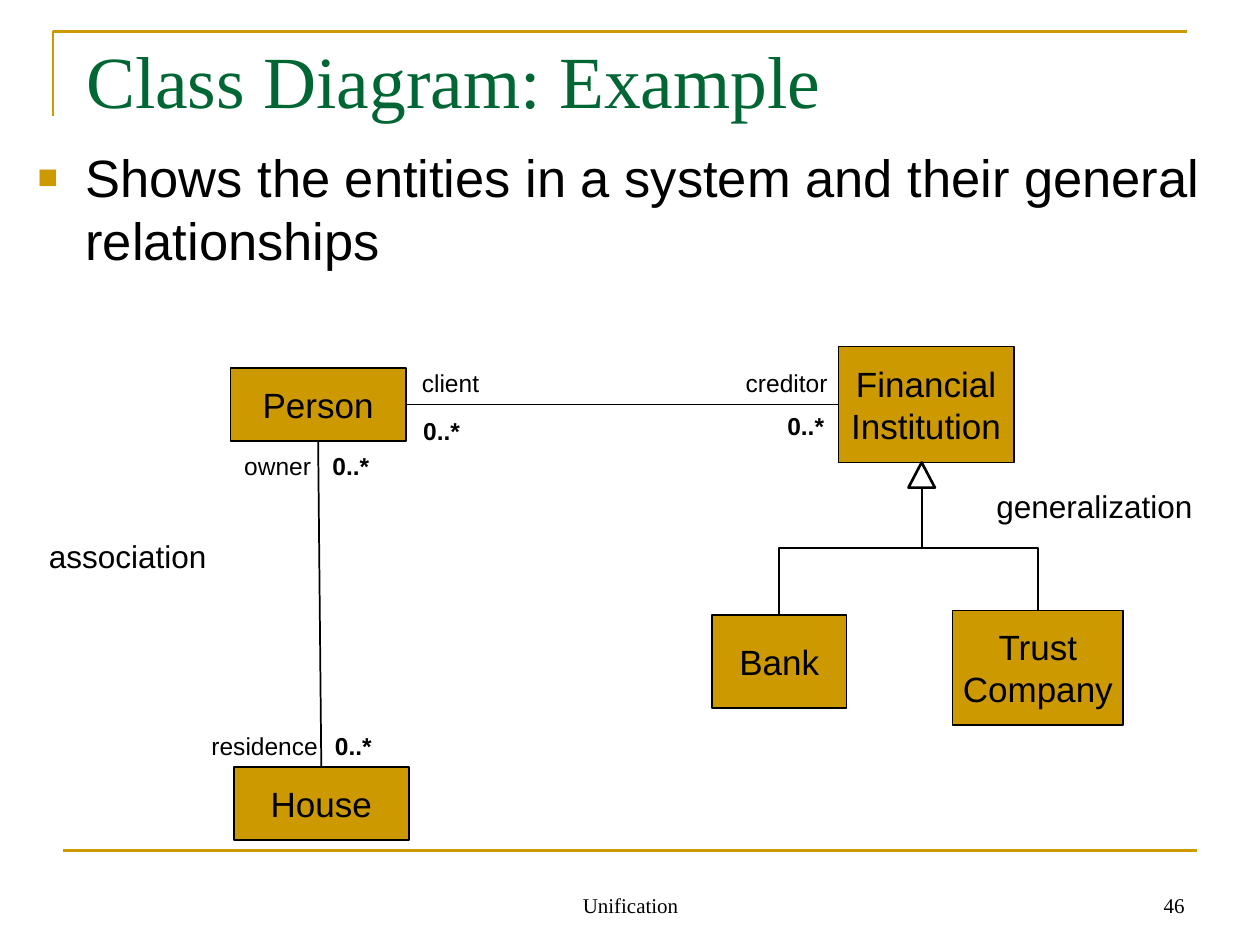
from dataclasses import dataclass

from lxml import etree
from pptx import Presentation
from pptx.dml.color import RGBColor
from pptx.enum.shapes import MSO_CONNECTOR, MSO_SHAPE
from pptx.enum.text import MSO_ANCHOR, PP_ALIGN
from pptx.oxml.ns import qn
from pptx.util import Emu, Inches, Pt

GOLD = RGBColor(0xCC, 0x99, 0x00)
GREEN = RGBColor(0x00, 0x66, 0x33)
BLACK = RGBColor(0, 0, 0)
SANS, SERIF = "Arial", "Times New Roman"
TOP, MIDDLE, BOTTOM = MSO_ANCHOR.TOP, MSO_ANCHOR.MIDDLE, MSO_ANCHOR.BOTTOM
LEFT, CENTER, RIGHT = PP_ALIGN.LEFT, PP_ALIGN.CENTER, PP_ALIGN.RIGHT
STRAIGHT, ELBOW = MSO_CONNECTOR.STRAIGHT, MSO_CONNECTOR.ELBOW
RECTANGLE, TRIANGLE = MSO_SHAPE.RECTANGLE, MSO_SHAPE.ISOSCELES_TRIANGLE

# The slide is a grid of 100 columns by 75 rows of square cells.
COLUMNS, ROWS = 100, 75
CELL = Inches(0.1)


@dataclass(frozen=True)
class Area:
    column: float
    row: float
    columns: float
    rows: float

    @property
    def center(self) -> float:
        return self.column + self.columns / 2

    @property
    def bottom(self) -> float:
        return self.row + self.rows


@dataclass(frozen=True)
class TextStyle:
    size: float
    font: str = SANS
    color: RGBColor = BLACK
    bold: bool = False
    align: PP_ALIGN = LEFT
    anchor: MSO_ANCHOR = TOP
    wrap: bool = True


@dataclass(frozen=True)
class TextItem:
    text: str
    area: Area
    style: TextStyle


CLASS_NAME = TextStyle(20, align=CENTER, anchor=MIDDLE, wrap=False)
RELATION = TextStyle(18)
ROLE = TextStyle(14, wrap=False)
COUNT = TextStyle(14, bold=True, wrap=False)

PERSON = TextItem("Person", Area(18.3, 29.2, 13.9, 5.8), CLASS_NAME)
HOUSE = TextItem("House", Area(18.55, 60.85, 13.9, 5.8), CLASS_NAME)
INSTITUTION = TextItem("Financial\nInstitution", Area(66.55, 27.5, 13.9, 9.2), CLASS_NAME)
BANK = TextItem("Bank", Area(56.5, 48.8, 10.7, 7.4), CLASS_NAME)
TRUST = TextItem("Trust\nCompany", Area(75.6, 48.45, 13.55, 9.1), CLASS_NAME)
ARROWHEAD = Area(72.1, 36.7, 2.1, 2)
JOINT_ROW = 43.5

LABELS = [
    TextItem("generalization", Area(78.1, 38.2, 20, 4), RELATION),
    TextItem("association", Area(2.9, 42.1, 15.6, 4), RELATION),
    TextItem("residence", Area(15.8, 57.5, 11, 3.4), ROLE),
    TextItem("owner", Area(18.4, 35.3, 7.6, 3.4), ROLE),
    TextItem("client", Area(32.5, 28.7, 7, 3.4), ROLE),
    TextItem("creditor", Area(58.2, 28.7, 8.8, 3.4), ROLE),
    *(TextItem("0..*", Area(column, row, 5.2, 3.4), COUNT)
      for column, row in [(25.6, 57.5), (25.4, 35.3), (61.5, 32.1), (32.6, 32.5)]),
]
TITLE = TextItem("Class Diagram: Example", Area(5.85, 1.7, 100, 9.2),
                 TextStyle(42, SERIF, GREEN, anchor=MIDDLE))
BODY = TextItem("Shows the entities in a system and their general relationships",
                Area(2, 11, 96.1, 55.7), TextStyle(30))
FOOTERS = [
    TextItem("Unification", Area(34.2, 68.3, 31.7, 5),
             TextStyle(12, SERIF, align=CENTER, anchor=BOTTOM)),
    TextItem("46", Area(71.7, 68.3, 23.3, 5),
             TextStyle(12, SERIF, align=RIGHT, anchor=BOTTOM)),
]


def cells(count: float) -> Emu:
    return Emu(round(count * CELL))


def place(area: Area) -> list[Emu]:
    return [cells(value) for value in (area.column, area.row, area.columns, area.rows)]


def write(shape, item: TextItem) -> None:
    style, frame = item.style, shape.text_frame
    frame.word_wrap = style.wrap
    frame.vertical_anchor = style.anchor
    paragraph = frame.paragraphs[0]
    paragraph.alignment = style.align
    for index, line in enumerate(item.text.split("\n")):
        if index:
            paragraph.add_line_break()
        run = paragraph.add_run()
        run.text = line
        run.font.size = Pt(style.size)
        run.font.name = style.font
        run.font.bold = style.bold
        run.font.color.rgb = style.color


def add_text(slide, item: TextItem):
    box = slide.shapes.add_textbox(*place(item.area))
    write(box, item)
    return box


def add_bullet(paragraph) -> None:
    properties = paragraph._p.get_or_add_pPr()
    properties.set("marL", str(Inches(0.38)))
    properties.set("indent", str(-Inches(0.38)))
    color = etree.SubElement(properties, qn("a:buClr"))
    etree.SubElement(color, qn("a:srgbClr"), val=str(GOLD))
    etree.SubElement(properties, qn("a:buSzPct"), val="65000")
    etree.SubElement(properties, qn("a:buFont"), typeface=SANS)
    etree.SubElement(properties, qn("a:buChar"), char="■")


def add_outline(slide, kind: MSO_SHAPE, area: Area, width: float):
    shape = slide.shapes.add_shape(kind, *place(area))
    shape.shadow.inherit = False
    shape.fill.background()
    shape.line.color.rgb = BLACK
    shape.line.width = Pt(width)
    return shape


def add_class(slide, item: TextItem) -> None:
    shape = add_outline(slide, RECTANGLE, item.area, 1)
    shape.fill.solid()
    shape.fill.fore_color.rgb = GOLD
    write(shape, item)


def add_line(slide, start: tuple[float, float], end: tuple[float, float],
             color: RGBColor = BLACK, width: float = 1, kind: MSO_CONNECTOR = STRAIGHT):
    line = slide.shapes.add_connector(kind, *map(cells, (*start, *end)))
    line.line.color.rgb = color
    line.line.width = Pt(width)
    etree.SubElement(line._element.spPr, qn("a:effectLst"))
    return line


def add_inheritance(slide, child: Area, parent: Area) -> None:
    """Draw an elbow that leaves the child upwards, by turning a sideways one."""
    rise, run = child.row - parent.bottom, parent.center - child.center
    column = (child.center + parent.center) / 2
    row = (child.row + parent.bottom) / 2
    elbow = add_line(slide, (column - rise / 2, row - run / 2),
                     (column + rise / 2, row + run / 2), kind=ELBOW)
    properties = elbow._element.spPr
    properties.find(qn("a:xfrm")).set("rot", str(270 * 60000))
    bend = round((child.row - JOINT_ROW) / rise * 100000)
    etree.SubElement(properties.find(".//" + qn("a:avLst")), qn("a:gd"),
                     name="adj1", fmla=f"val {bend}")


def add_frame(slide) -> None:
    left, top, right, bottom = map(cells, (4.2, 2.5, 94.2, 9.2))
    builder = slide.shapes.build_freeform(left, bottom)
    builder.add_line_segments([(left, top), (right, top)], close=False)
    corner = builder.convert_to_shape()
    corner.shadow.inherit = False
    corner.fill.background()
    corner.line.color.rgb = GOLD
    corner.line.width = Pt(1.5)
    add_line(slide, (5, 67.5), (95, 67.5), GOLD, 1.5)


def main() -> None:
    presentation = Presentation()
    presentation.slide_width = cells(COLUMNS)
    presentation.slide_height = cells(ROWS)
    slide = presentation.slides.add_slide(presentation.slide_layouts[6])
    add_frame(slide)
    add_text(slide, TITLE)
    add_bullet(add_text(slide, BODY).text_frame.paragraphs[0])
    for item in (PERSON, HOUSE, INSTITUTION, BANK, TRUST):
        add_class(slide, item)
    add_line(slide, (PERSON.area.center, PERSON.area.bottom),
             (HOUSE.area.center, HOUSE.area.row))
    add_line(slide, (32.2, 32.1), (INSTITUTION.area.column, 32.1))
    add_outline(slide, TRIANGLE, ARROWHEAD, 1.5)
    for child in (BANK, TRUST):
        add_inheritance(slide, child.area, ARROWHEAD)
    for item in LABELS + FOOTERS:
        add_text(slide, item)
    presentation.save("out.pptx")


if __name__ == "__main__":
    main()
